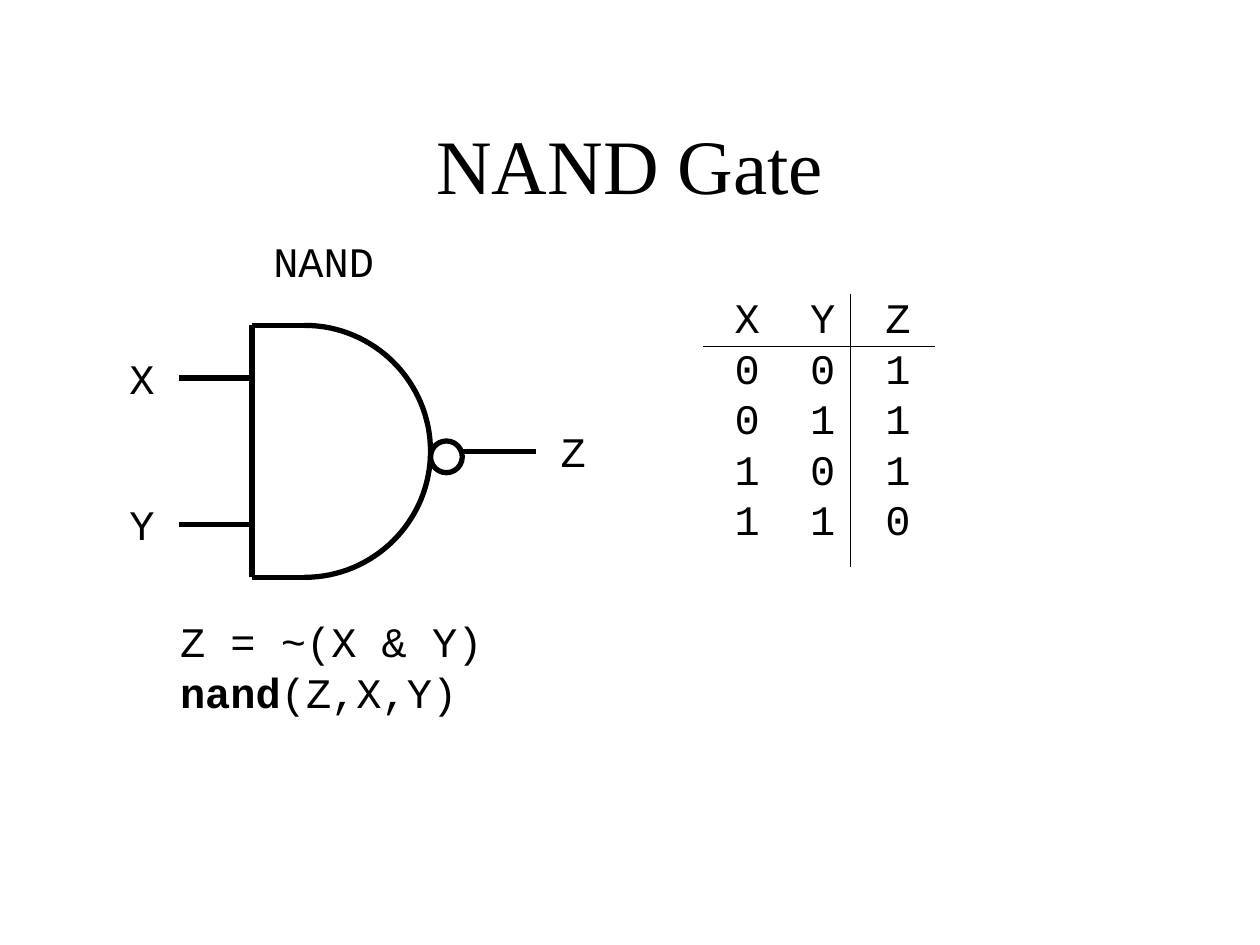
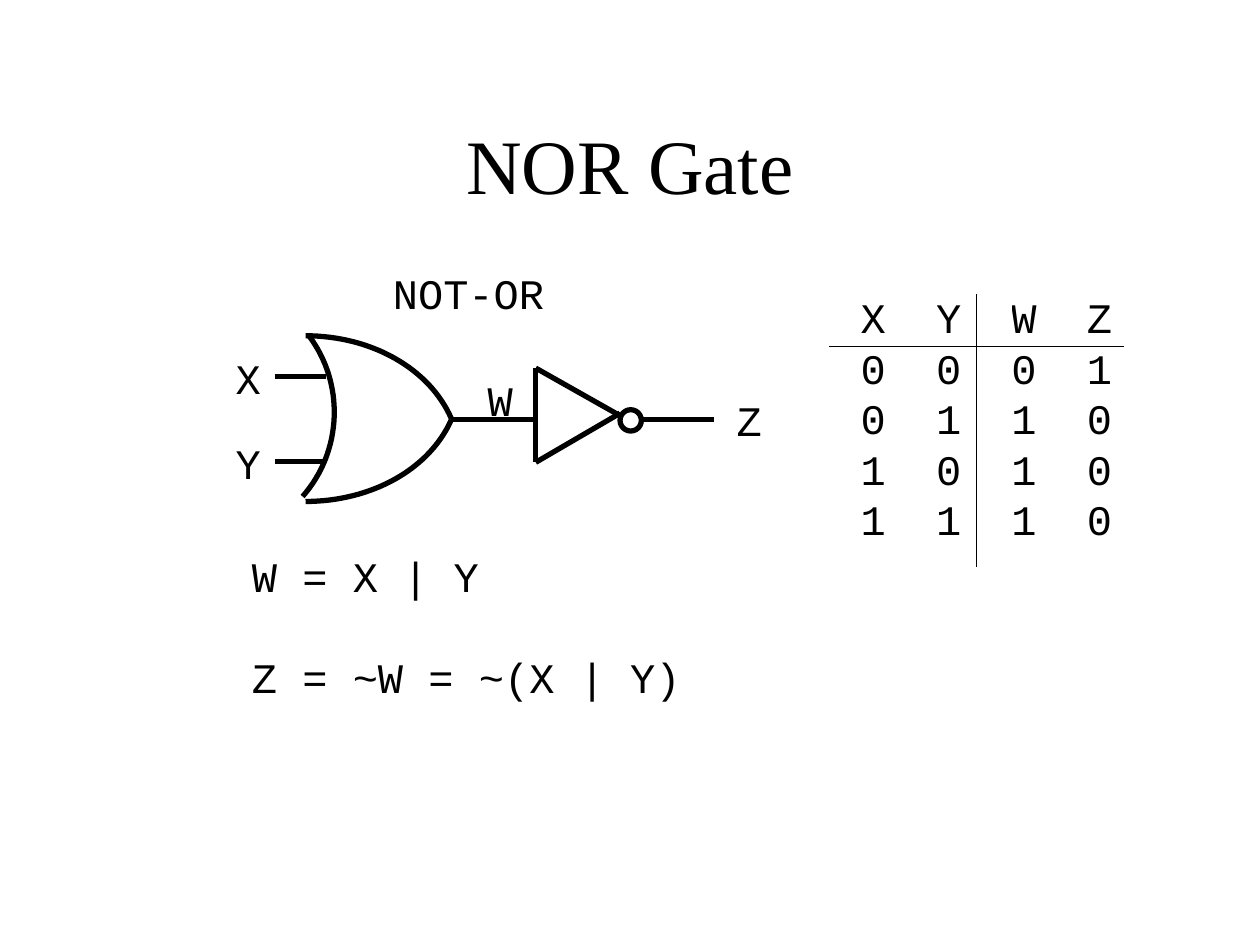
import math

import lxml.etree
import pptx
import pptx.dml.color
import pptx.enum.shapes
import pptx.enum.text
import pptx.oxml.ns
import pptx.util

Cm = pptx.util.Cm
Pt = pptx.util.Pt
BLACK = pptx.dml.color.RGBColor(0x00, 0x00, 0x00)
TITLE_FONT = "Times New Roman"
CODE_FONT = "Courier New"
CODE_SIZE = Pt(24)
GATE_LINE = Pt(3)
TABLE_LINE = Pt(0.75)
CHARACTER_WIDTH = 0.51
LINE_HEIGHT = 1.02
COLUMN_WIDTH = 1.52
TABLE_TOP = 6.02
CURVE_STEPS = 32

GATES = [
    {
        "title": "NAND Gate",
        "labels": [("NAND", 5.26, 4.62), ("X", 2.36, 6.98), ("Y", 2.36, 9.93), ("Z", 11.05, 8.46)],
        "curves": [
            [(6.14, 6.56), (7.54, 6.56), (8.68, 7.7), (8.68, 9.1)],
            [(6.14, 11.64), (7.54, 11.64), (8.68, 10.5), (8.68, 9.1)],
        ],
        "wires": [
            (6.14, 6.56, 5.08, 6.56),
            (6.14, 11.64, 5.08, 11.64),
            (5.08, 6.56, 5.08, 11.64),
            (5.08, 7.62, 3.6, 7.62),
            (5.08, 10.58, 3.6, 10.58),
            (10.8, 9.1, 9.31, 9.1),
        ],
        "bubble": (8.68, 8.89, 0.64),
        "equations": [[("Z = ~(X & Y)", False)], [("nand", True), ("(Z,X,Y)", False)]],
        "equations_at": (3.38, 12.29),
        "equation_gap": 0,
        "truth_table": ["XYZ", "001", "011", "101", "110"],
        "table_left": 14.81,
        "rule_end": 18.84,
    },
    {
        "title": "NOR Gate",
        "labels": [
            ("NOT-OR", 7.67, 5.26),
            ("X", 4.5, 6.98),
            ("Y", 4.5, 8.69),
            ("W", 9.58, 7.42),
            ("Z", 14.6, 7.82),
        ],
        "curves": [
            [(6.16, 6.77), (7.49, 6.77), (8.66, 7.43), (9.1, 8.44)],
            [(6.16, 10.11), (7.49, 10.11), (8.66, 9.46), (9.1, 8.46)],
            [(6.22, 6.76), (6.95, 7.72), (6.91, 9.09), (6.1, 10.01)],
        ],
        "wires": [
            (6.58, 7.59, 5.54, 7.59),
            (6.58, 9.3, 5.54, 9.3),
            (9.1, 8.46, 10.8, 8.46),
            (10.8, 7.42, 10.8, 9.32),
            (10.8, 7.42, 12.5, 8.38),
            (10.8, 9.32, 12.5, 8.33),
            (14.4, 8.46, 12.9, 8.46),
        ],
        "bubble": (12.5, 8.26, 0.43),
        "equations": [[("W = X | Y", False)], [("Z = ~W = ~(X | Y)", False)]],
        "equations_at": (4.83, 10.97),
        "equation_gap": LINE_HEIGHT,
        "truth_table": ["XYWZ", "0001", "0110", "1010", "1110"],
        "table_left": 17.35,
        "rule_end": 22.65,
    },
]


def add_line(slide, ends, width):
    connector = slide.shapes.add_connector(
        pptx.enum.shapes.MSO_CONNECTOR.STRAIGHT, *[Cm(value) for value in ends]
    )
    connector.line.color.rgb = BLACK
    connector.line.width = width
    lxml.etree.SubElement(connector._element.spPr, pptx.oxml.ns.qn("a:effectLst"))


def add_code(slide, lines, left, top, gap=0):
    longest = max(sum(len(text) for text, bold in line) for line in lines)
    width = longest * CHARACTER_WIDTH + 0.51
    height = len(lines) * LINE_HEIGHT + (len(lines) - 1) * gap + 0.25
    frame = slide.shapes.add_textbox(Cm(left), Cm(top), Cm(width), Cm(height)).text_frame
    frame.word_wrap = False
    frame.auto_size = pptx.enum.text.MSO_AUTO_SIZE.SHAPE_TO_FIT_TEXT
    for index, line in enumerate(lines):
        paragraph = frame.add_paragraph() if index else frame.paragraphs[0]
        paragraph.font.name = CODE_FONT
        paragraph.font.size = CODE_SIZE
        paragraph.font.color.rgb = BLACK
        if index and gap:
            paragraph.space_before = Cm(gap)
        for text, bold in line:
            run = paragraph.add_run()
            run.text = text
            if bold:
                run.font.bold = True


presentation = pptx.Presentation()
presentation.slide_width = Cm(25.4)
presentation.slide_height = Cm(19.05)
layout = presentation.slide_layouts[5]
layout_title = layout.placeholders[0]
layout_title.left, layout_title.top = Cm(1.9), Cm(1.7)
layout_title.width, layout_title.height = Cm(21.6), Cm(3.18)

for gate in GATES:
    slide = presentation.slides.add_slide(layout)
    title = slide.shapes.title
    title.text_frame.text = gate["title"]
    title.text_frame.vertical_anchor = pptx.enum.text.MSO_ANCHOR.MIDDLE
    paragraph = title.text_frame.paragraphs[0]
    paragraph.alignment = pptx.enum.text.PP_ALIGN.CENTER
    paragraph.font.name = TITLE_FONT
    paragraph.font.size = Pt(44)
    paragraph.font.color.rgb = BLACK

    for control_points in gate["curves"]:
        points = []
        for step in range(CURVE_STEPS + 1):
            t = step / CURVE_STEPS
            weights = [math.comb(3, k) * t**k * (1 - t) ** (3 - k) for k in range(4)]
            x = sum(weight * point[0] for weight, point in zip(weights, control_points))
            y = sum(weight * point[1] for weight, point in zip(weights, control_points))
            points.append((Cm(x), Cm(y)))
        builder = slide.shapes.build_freeform(*points[0])
        builder.add_line_segments(points[1:], close=False)
        curve = builder.convert_to_shape()
        curve.shadow.inherit = False
        curve.fill.background()
        curve.line.color.rgb = BLACK
        curve.line.width = GATE_LINE

    for wire in gate["wires"]:
        add_line(slide, wire, GATE_LINE)

    left, top, diameter = gate["bubble"]
    bubble = slide.shapes.add_shape(
        pptx.enum.shapes.MSO_SHAPE.OVAL, Cm(left), Cm(top), Cm(diameter), Cm(diameter)
    )
    bubble.shadow.inherit = False
    bubble.fill.background()
    bubble.line.color.rgb = BLACK
    bubble.line.width = GATE_LINE

    for text, left, top in gate["labels"]:
        add_code(slide, [[(text, False)]], left, top)
    add_code(slide, gate["equations"], *gate["equations_at"], gate["equation_gap"])

    rows = gate["truth_table"]
    table_left = gate["table_left"]
    table = slide.shapes.add_table(
        len(rows), len(rows[0]), Cm(table_left), Cm(TABLE_TOP),
        Cm(len(rows[0]) * COLUMN_WIDTH), Cm(len(rows) * LINE_HEIGHT),
    ).table
    table.first_row = False
    table.horz_banding = False
    for row_index, row in enumerate(rows):
        for column_index, value in enumerate(row):
            cell = table.cell(row_index, column_index)
            cell.fill.background()
            cell.margin_left = cell.margin_right = cell.margin_top = cell.margin_bottom = 0
            cell.text = value
            paragraph = cell.text_frame.paragraphs[0]
            paragraph.font.name = CODE_FONT
            paragraph.font.size = CODE_SIZE
            paragraph.font.color.rgb = BLACK
    add_line(slide, (table_left - 0.63, 6.98, gate["rule_end"], 6.98), TABLE_LINE)
    add_line(slide, (table_left + 2.34, 5.92, table_left + 2.34, 11.43), TABLE_LINE)

presentation.save("out.pptx")
